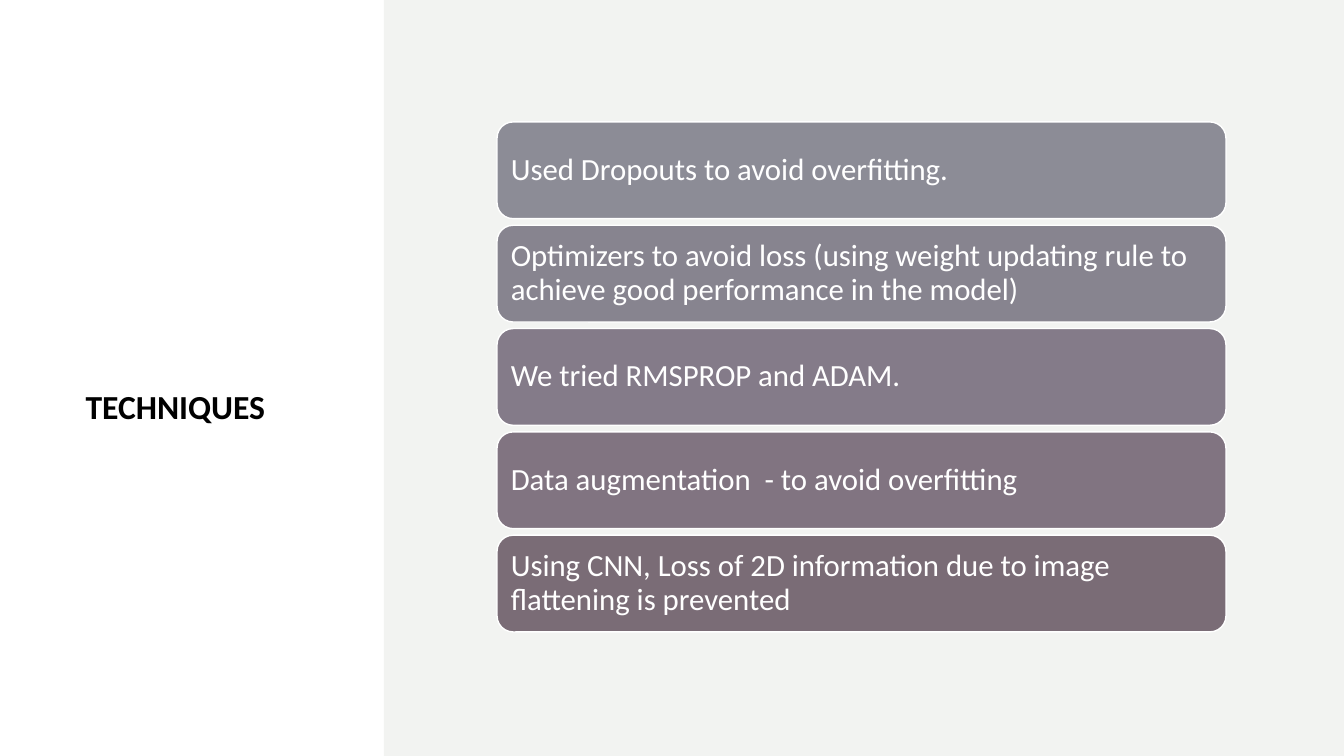
from pptx import Presentation
from pptx.dml.color import RGBColor
from pptx.enum.shapes import MSO_SHAPE
from pptx.enum.text import MSO_ANCHOR, PP_ALIGN
from pptx.util import Inches, Pt

WIDE, HIGH = 13.33, 7.5
LEFT, TOP, PITCH = 4.93, 1.21, 1.025
CARDS = [
    ("Used Dropouts to avoid overfitting.", "8C8C96"),
    ("Optimizers to avoid loss (using weight updating rule to "
     "achieve good performance in the model)", "87848F"),
    ("We tried RMSPROP and ADAM.", "847B89"),
    ("Data augmentation  - to avoid overfitting", "817481"),
    ("Using CNN, Loss of 2D information due to image "
     "flattening is prevented", "7A6C76"),
]


def paint(tone):
    return RGBColor.from_string(tone)


def add_box(slide, kind, area, tone, edge=None):
    box = slide.shapes.add_shape(kind, *map(Inches, area))
    box.shadow.inherit = False
    box.fill.solid()
    box.fill.fore_color.rgb = paint(tone)
    if edge:
        box.line.color.rgb = paint(edge)
        box.line.width = Pt(1)
    else:
        box.line.fill.background()
    return box


def write(frame, words, size, tone, anchor, lead, bold=False):
    frame.word_wrap = True
    frame.vertical_anchor = anchor
    line = frame.paragraphs[0]
    line.alignment = PP_ALIGN.LEFT
    line.line_spacing = lead
    run = line.add_run()
    run.text = words
    run.font.name = "Calibri"
    run.font.size = Pt(size)
    run.font.bold = bold
    run.font.color.rgb = paint(tone)


def add_title(slide, words):
    box = slide.shapes.add_textbox(*map(Inches, (0.75, 2.3, 2.54, 1.98)))
    write(box.text_frame, words, 24, "000000", MSO_ANCHOR.BOTTOM, 1.1, True)


def add_card(slide, row, words, tone):
    area = (LEFT, TOP + row * PITCH, 7.23, 0.96)
    card = add_box(slide, MSO_SHAPE.ROUNDED_RECTANGLE, area, tone, "FFFFFF")
    frame = card.text_frame
    frame.margin_left = frame.margin_right = Inches(0.09)
    frame.margin_top = frame.margin_bottom = Inches(0.09)
    write(frame, words, 22, "FFFFFF", MSO_ANCHOR.MIDDLE, 0.9)


def main():
    deck = Presentation()
    deck.slide_width, deck.slide_height = Inches(WIDE), Inches(HIGH)
    slide = deck.slides.add_slide(deck.slide_layouts[6])
    split = WIDE * 2 / 7
    add_box(slide, MSO_SHAPE.RECTANGLE, (0, 0, WIDE, HIGH), "FFFFFF")
    add_title(slide, "TECHNIQUES")
    add_box(slide, MSO_SHAPE.RECTANGLE, (split, 0, WIDE - split, HIGH), "F2F3F1")
    for row, (words, tone) in enumerate(CARDS):
        add_card(slide, row, words, tone)
    deck.save("out.pptx")


if __name__ == "__main__":
    main()
